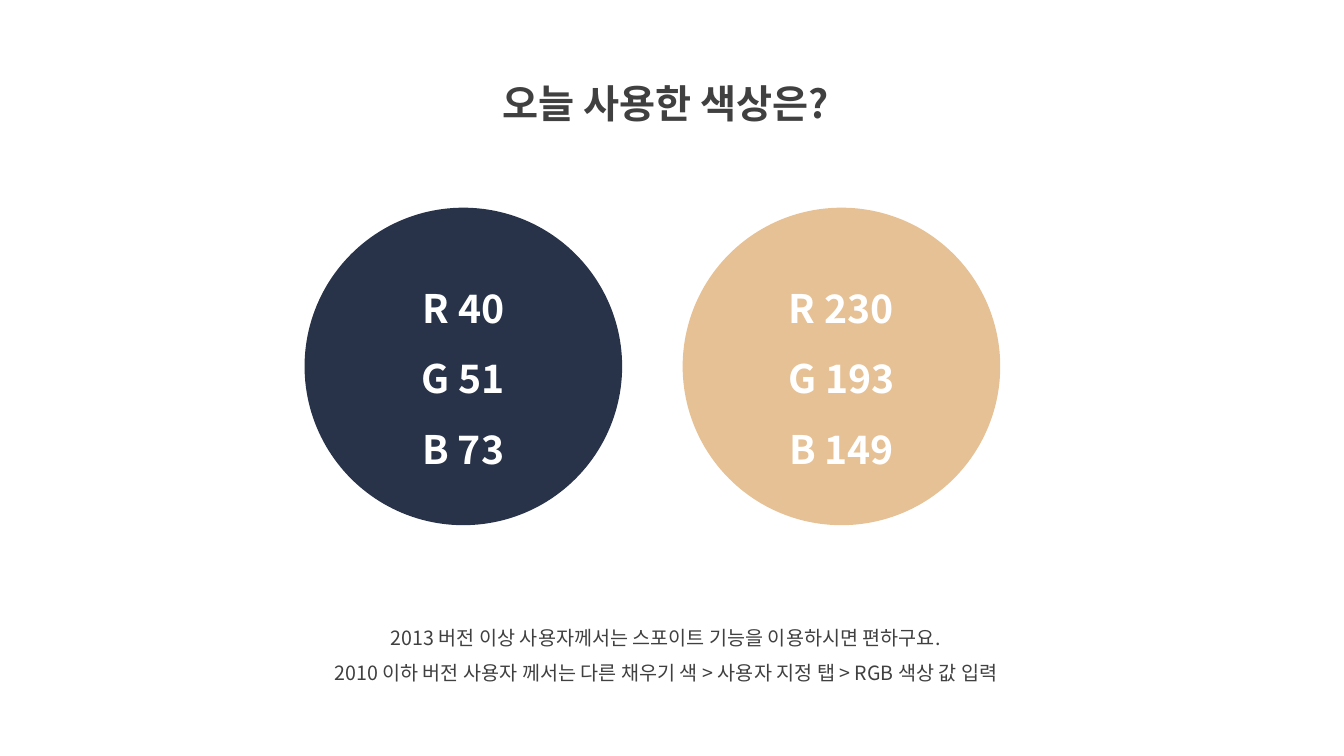
from dataclasses import dataclass

from lxml import etree
from pptx import Presentation
from pptx.dml.color import RGBColor
from pptx.enum.shapes import MSO_SHAPE
from pptx.enum.text import MSO_ANCHOR, MSO_AUTO_SIZE, PP_ALIGN
from pptx.oxml.ns import qn
from pptx.slide import Slide
from pptx.text.text import TextFrame
from pptx.util import Inches, Pt

OVAL = MSO_SHAPE.OVAL
CENTER = PP_ALIGN.CENTER
TOP, MIDDLE = MSO_ANCHOR.TOP, MSO_ANCHOR.MIDDLE
NO_AUTOFIT = MSO_AUTO_SIZE.NONE
TITLE_ONLY = 5

SLIDE_W, SLIDE_H = Inches(13.33), Inches(7.5)


@dataclass(frozen=True)
class Theme:
    font: str = "Noto Sans CJK KR"
    ink: RGBColor = RGBColor(0x40, 0x40, 0x40)
    white: RGBColor = RGBColor(0xFF, 0xFF, 0xFF)
    large: int = 28
    small: int = 14
    line_spacing: float = 1.5


@dataclass(frozen=True)
class Box:
    """A rectangle in percent of the slide's width and height."""
    left: float
    top: float
    width: float
    height: float

    def emu(self) -> tuple[int, int, int, int]:
        return (int(SLIDE_W * self.left / 100), int(SLIDE_H * self.top / 100),
                int(SLIDE_W * self.width / 100), int(SLIDE_H * self.height / 100))


@dataclass(frozen=True)
class Swatch:
    red: int
    green: int
    blue: int

    def lines(self) -> list[str]:
        return [f"R {self.red}", f"G {self.green}", f"B {self.blue}"]


THEME = Theme()
TITLE = "오늘 사용한 색상은?"
TITLE_BOX = Box(32.18, 6.67, 34.73, 9.6)
NOTES = [
    "2013 버전 이상 사용자께서는 스포이트 기능을 이용하시면 편하구요.",
    "2010 이하 버전 사용자 께서는 다른 채우기 색 > 사용자 지정 탭 > RGB 색상 값 입력",
]
NOTES_BOX = Box(19.58, 80.53, 59.94, 10.8)
SWATCHES = [Swatch(40, 51, 73), Swatch(230, 193, 149)]
FIRST_CIRCLE = Box(22.66, 27.47, 23.63, 42)
CIRCLE_PITCH = 28.13


def write_lines(tf: TextFrame, lines: list[str], size: int, color: RGBColor,
                bold: bool, anchor: MSO_ANCHOR) -> None:
    tf.word_wrap = True
    tf.auto_size = NO_AUTOFIT
    tf.vertical_anchor = anchor
    tf.text = "\n".join(lines)
    for p in tf.paragraphs:
        p.alignment = CENTER
        p.line_spacing = THEME.line_spacing
        p.font.size = Pt(size)
        p.font.bold = bold
        p.font.color.rgb = color
        p.font.name = THEME.font
        # Hangul takes the East Asian typeface, which follows the Latin one.
        latin = p._p.pPr.find(qn("a:defRPr")).find(qn("a:latin"))
        east_asian = etree.Element(qn("a:ea"), typeface=THEME.font)
        latin.addnext(east_asian)


def add_title(slide: Slide) -> None:
    sp = slide.shapes.title
    sp.left, sp.top, sp.width, sp.height = TITLE_BOX.emu()
    write_lines(sp.text_frame, [TITLE], THEME.large, THEME.ink, True, TOP)


def add_swatch(slide: Slide, swatch: Swatch, box: Box) -> None:
    sp = slide.shapes.add_shape(OVAL, *box.emu())
    sp.shadow.inherit = False
    sp.fill.solid()
    sp.fill.fore_color.rgb = RGBColor(swatch.red, swatch.green, swatch.blue)
    sp.line.fill.background()
    write_lines(sp.text_frame, swatch.lines(), THEME.large, THEME.white, True, MIDDLE)


def add_notes(slide: Slide) -> None:
    sp = slide.shapes.add_textbox(*NOTES_BOX.emu())
    write_lines(sp.text_frame, NOTES, THEME.small, THEME.ink, False, TOP)


def main() -> None:
    prs = Presentation()
    prs.slide_width, prs.slide_height = SLIDE_W, SLIDE_H
    slide = prs.slides.add_slide(prs.slide_layouts[TITLE_ONLY])
    add_title(slide)
    for i, swatch in enumerate(SWATCHES):
        first = FIRST_CIRCLE
        add_swatch(slide, swatch, Box(first.left + i * CIRCLE_PITCH, first.top,
                                      first.width, first.height))
    add_notes(slide)
    prs.save("out.pptx")


if __name__ == "__main__":
    main()
